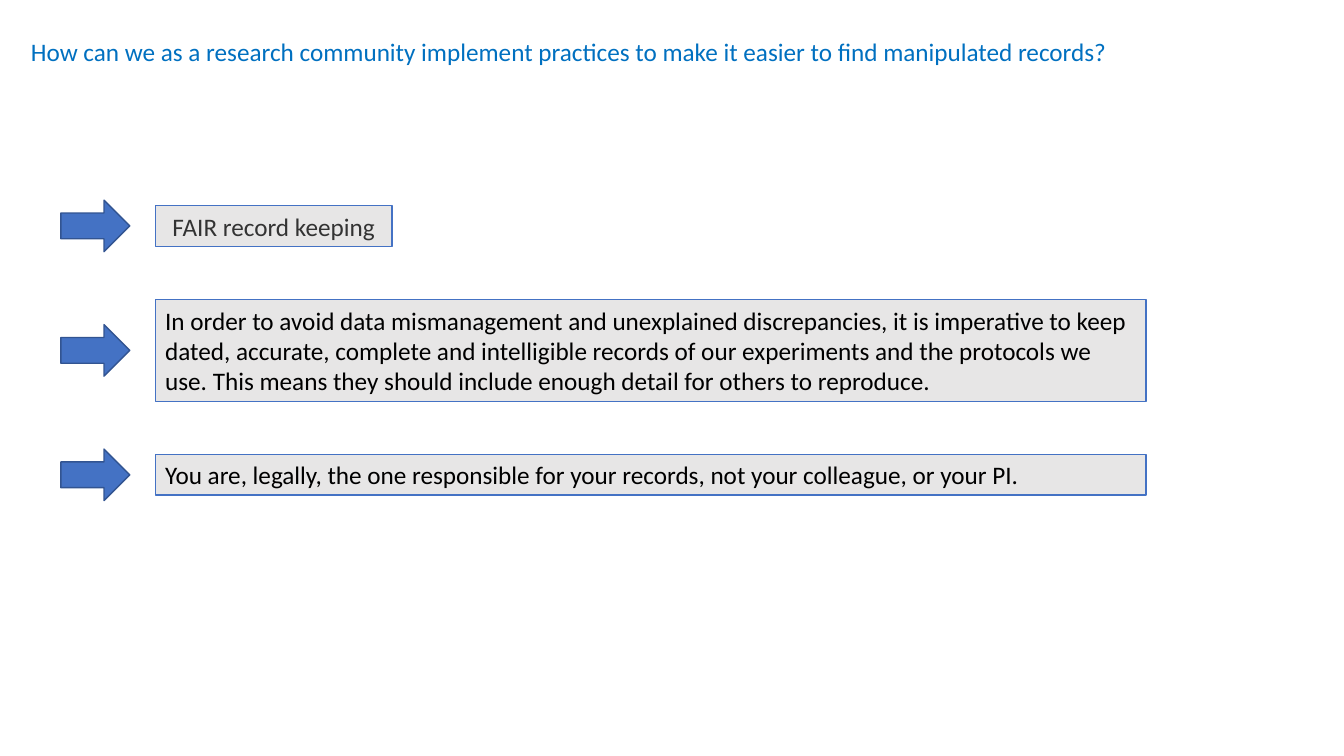
from pptx import Presentation
from pptx.dml.color import RGBColor
from pptx.enum.shapes import MSO_SHAPE
from pptx.enum.text import MSO_ANCHOR, PP_ALIGN
from pptx.util import Pt

RECTANGLE, ARROW = MSO_SHAPE.RECTANGLE, MSO_SHAPE.RIGHT_ARROW
LEFT, CENTER = PP_ALIGN.LEFT, PP_ALIGN.CENTER
MIDDLE = MSO_ANCHOR.MIDDLE

COLORS = {
    "title": "0070C0",
    "blue": "4472C4",
    "arrow_edge": "325491",
    "gray": "E7E6E6",
    "dark": "333333",
    "black": "000000",
}

deck = Presentation()
deck.slide_width, deck.slide_height = Pt(960), Pt(540)
page = deck.slides.add_slide(deck.slide_layouts[6])


def write(box, text, color, align=LEFT):
    frame = box.text_frame
    frame.word_wrap = True
    frame.text = text
    paragraph = frame.paragraphs[0]
    paragraph.alignment = align
    font = paragraph.runs[0].font
    font.name, font.size = "Calibri", Pt(18)
    font.color.rgb = RGBColor.from_string(COLORS[color])


def add_centered_shape(kind, left, middle, width, height, fill, edge):
    """Add a filled, outlined shape centred vertically on middle."""
    shape = page.shapes.add_shape(
        kind, Pt(left), Pt(middle - height / 2), Pt(width), Pt(height))
    shape.shadow.inherit = False
    shape.fill.solid()
    shape.fill.fore_color.rgb = RGBColor.from_string(COLORS[fill])
    shape.line.color.rgb = RGBColor.from_string(COLORS[edge])
    shape.line.width = Pt(1)
    return shape


title = page.shapes.add_textbox(Pt(15), Pt(22.6), Pt(895), Pt(29))
write(title, "How can we as a research community implement practices to make "
      "it easier to find manipulated records?", "title")

# Text, width, height, text colour, alignment
points = [
    ("FAIR record keeping", 169.2, 29, "dark", CENTER),
    ("In order to avoid data mismanagement and unexplained discrepancies, "
     "it is imperative to keep dated, accurate, complete and intelligible "
     "records of our experiments and the protocols we use. This means they "
     "should include enough detail for others to reproduce.",
     707.6, 72.7, "black", LEFT),
    ("You are, legally, the one responsible for your records, not your "
     "colleague, or your PI.", 707.6, 29, "black", LEFT),
]
first_middle, pitch = 161.4, 88.9

for index, (text, width, height, color, align) in enumerate(points):
    middle = first_middle + index * pitch
    box = add_centered_shape(
        RECTANGLE, 110.9, middle, width, height, "gray", "blue")
    box.text_frame.vertical_anchor = MIDDLE
    write(box, text, color, align)
    add_centered_shape(ARROW, 43.5, middle, 49.2, 36.8, "blue", "arrow_edge")

deck.save("out.pptx")
